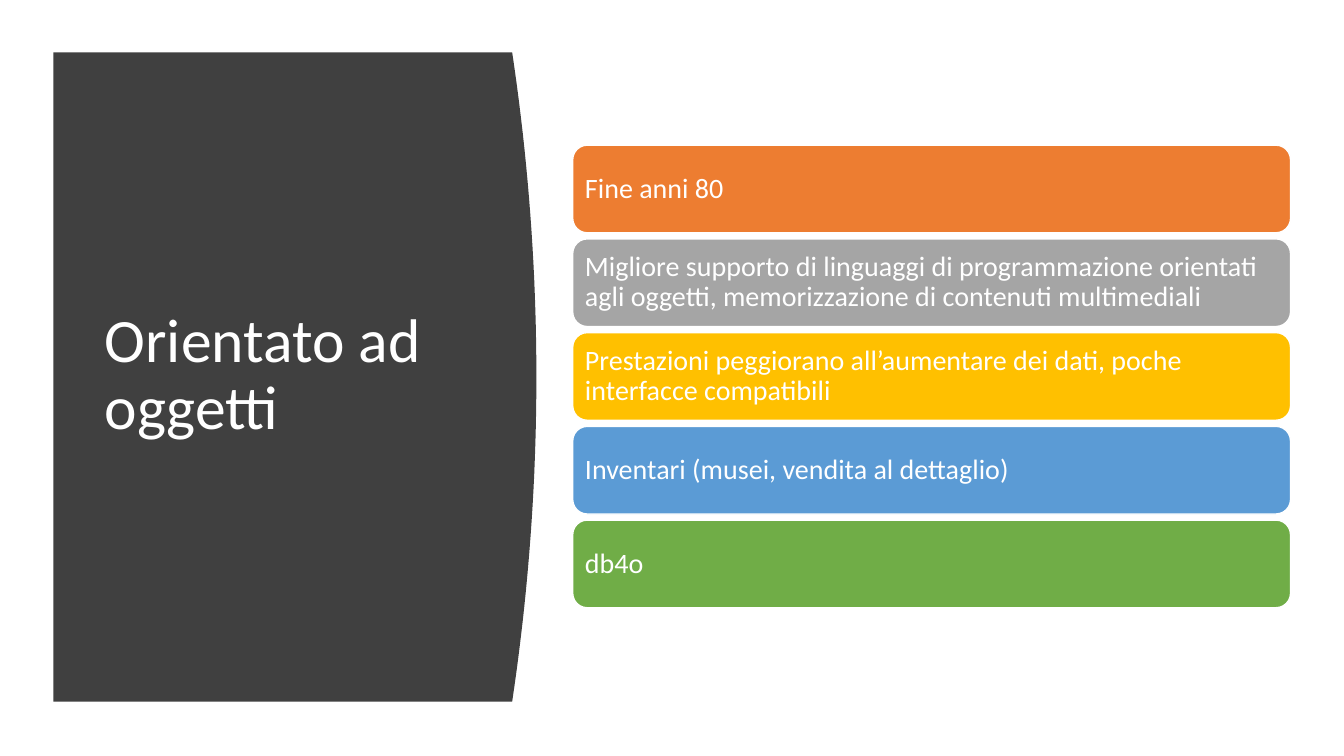
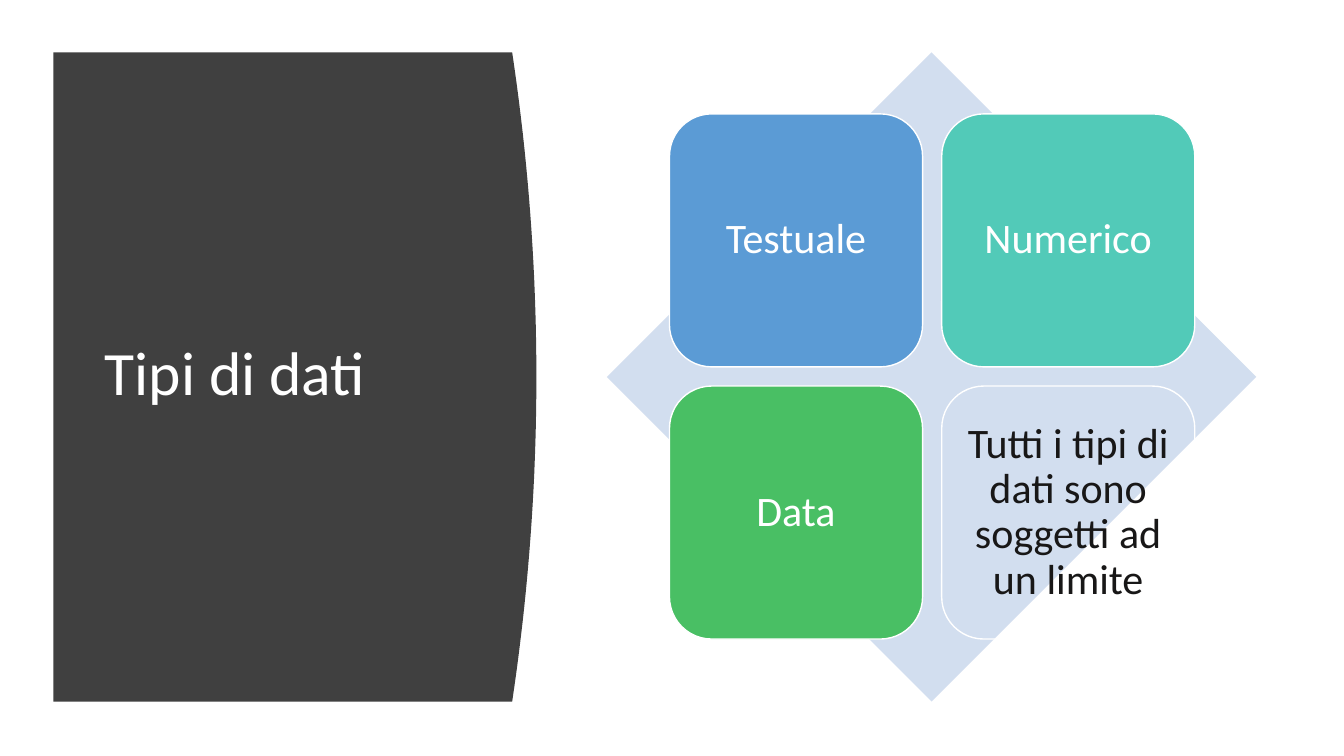
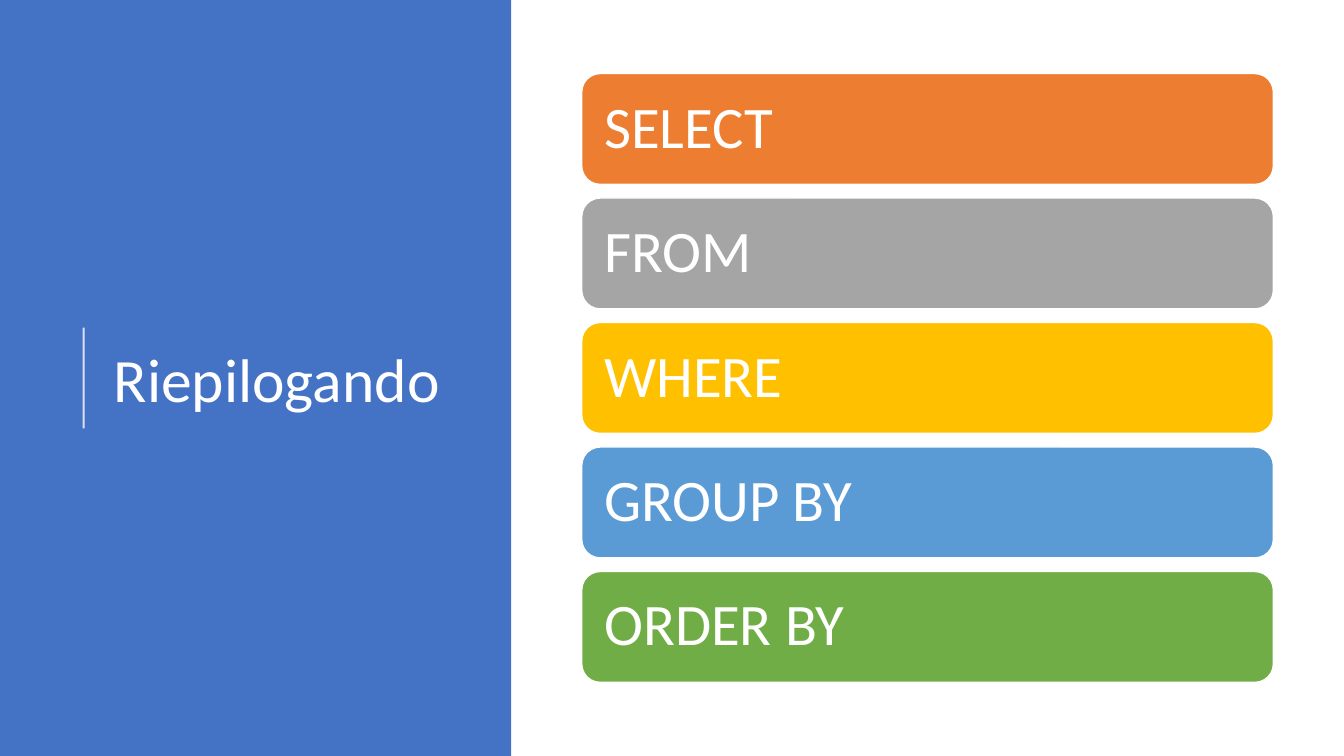
from typing import NamedTuple

from lxml.etree import SubElement
from pptx import Presentation
from pptx.dml.color import RGBColor
from pptx.enum.shapes import MSO_CONNECTOR as Link, MSO_SHAPE as Kind
from pptx.enum.text import MSO_ANCHOR as Anchor, PP_ALIGN as Align
from pptx.oxml.ns import qn
from pptx.shapes.autoshape import Shape
from pptx.slide import Slide
from pptx.text.text import TextFrame
from pptx.util import Inches, Pt

FONT = "Calibri"
WHITE = RGBColor(0xFF, 0xFF, 0xFF)
INK = RGBColor(0x18, 0x17, 0x17)
DARK = RGBColor(0x40, 0x40, 0x40)
NAVY = RGBColor(0x44, 0x72, 0xC4)
PALE = RGBColor(0xD2, 0xDE, 0xEF)
ORANGE = RGBColor(0xED, 0x7D, 0x31)
GRAY = RGBColor(0xA5, 0xA5, 0xA5)
GOLD = RGBColor(0xFF, 0xC0, 0x00)
BLUE = RGBColor(0x5B, 0x9B, 0xD5)
GREEN = RGBColor(0x70, 0xAD, 0x47)
TEAL = RGBColor(0x52, 0xCA, 0xB8)
LEAF = RGBColor(0x49, 0xBF, 0x64)
BARS = (ORANGE, GRAY, GOLD, BLUE, GREEN)


class Box(NamedTuple):
    left: float
    top: float
    width: float
    height: float


class Style(NamedTuple):
    size: int
    inset: float
    align: Align = Align.LEFT


class Tile(NamedTuple):
    text: str
    fill: RGBColor | None
    ink: RGBColor = WHITE


PANEL = Box(0.53, 0.52, 4.79, 6.44)
BULGE = 0.24
STEPS = 40
TITLE = Box(0.94, 1.11, 3.74, 5.24)


def write(frame: TextFrame, text: str, size: int, ink: RGBColor, align: Align) -> None:
    frame.word_wrap = True
    frame.vertical_anchor = Anchor.MIDDLE
    para = frame.paragraphs[0]
    para.alignment = align
    para.line_spacing = 0.9
    run = para.add_run()
    run.text = text
    font = run.font
    font.name, font.size, font.color.rgb = FONT, Pt(size), ink


def paint(shape: Shape, fill: RGBColor | None) -> None:
    """Flat fill, or none, without outline or shadow."""
    shape.shadow.inherit = False
    shape.line.fill.background()
    if fill is None:
        shape.fill.background()
    else:
        shape.fill.solid()
        shape.fill.fore_color.rgb = fill


def block(slide: Slide, kind: Kind, box: Box, fill: RGBColor | None) -> Shape:
    shape = slide.shapes.add_shape(kind, *map(Inches, box))
    paint(shape, fill)
    return shape


def title(slide: Slide, text: str, box: Box = TITLE) -> None:
    area = slide.shapes.add_textbox(*map(Inches, box))
    write(area.text_frame, text, 44, WHITE, Align.LEFT)


def panel(slide: Slide) -> None:
    """Dark panel whose right edge bows outward."""
    left, top, width, height = PANEL
    edge = []
    for step in range(STEPS + 1):
        part = step / STEPS
        bow = BULGE * (2 * part - 1) ** 2
        edge.append((Inches(left + width - bow), Inches(top + height * part)))
    form = slide.shapes.build_freeform(Inches(left), Inches(top))
    form.add_line_segments([*edge, (Inches(left), Inches(top + height))], close=True)
    paint(form.convert_to_shape(), DARK)


def card(slide: Slide, box: Box, tile: Tile, style: Style) -> None:
    shape = block(slide, Kind.ROUNDED_RECTANGLE, box, tile.fill)
    shape.line.color.rgb = WHITE
    shape.line.width = Pt(1)
    frame = shape.text_frame
    pad = Inches(style.inset)
    frame.margin_left = frame.margin_right = pad
    frame.margin_top = frame.margin_bottom = pad
    write(frame, tile.text, style.size, tile.ink, style.align)


def stack(slide: Slide, area: Box, height: float, texts: list[str], style: Style) -> None:
    """Bars of one height, spread evenly over the area."""
    pitch = (area.height - height) / (len(texts) - 1)
    for row, (text, fill) in enumerate(zip(texts, BARS)):
        box = Box(area.left, area.top + row * pitch, area.width, height)
        card(slide, box, Tile(text, fill), style)


def grid(slide: Slide, tiles: list[Tile]) -> None:
    """Two by two square cards."""
    side, pitch = 2.51, 2.7
    style = Style(30, 0.12, Align.CENTER)
    for spot, tile in enumerate(tiles):
        row, col = divmod(spot, 2)
        box = Box(6.64 + col * pitch, 1.13 + row * pitch, side, side)
        card(slide, box, tile, style)


def rule(slide: Slide) -> None:
    """Thin translucent line beside the title."""
    x = Inches(0.83)
    line = slide.shapes.add_connector(Link.STRAIGHT, x, Inches(4.25), x, Inches(3.25))
    line.line.color.rgb = WHITE
    line.line.width = Pt(1.5)
    props = line._element.spPr
    SubElement(next(props.iter(qn("a:srgbClr"))), qn("a:alpha"), val="80000")
    SubElement(props, qn("a:effectLst"))


def objects(slide: Slide) -> None:
    panel(slide)
    title(slide, "Orientato ad oggetti")
    texts = [
        "Fine anni 80",
        "Migliore supporto di linguaggi di programmazione orientati "
        "agli oggetti, memorizzazione di contenuti multimediali",
        "Prestazioni peggiorano all’aumentare dei dati, poche interfacce compatibili",
        "Inventari (musei, vendita al dettaglio)",
        "db4o",
    ]
    stack(slide, Box(5.68, 1.44, 7.12, 4.59), 0.87, texts, Style(20, 0.08))


def types(slide: Slide) -> None:
    panel(slide)
    title(slide, "Tipi di dati")
    block(slide, Kind.DIAMOND, Box(6.02, 0.52, 6.44, 6.44), PALE)
    grid(slide, [
        Tile("Testuale", BLUE),
        Tile("Numerico", TEAL),
        Tile("Data", LEAF),
        Tile("Tutti i tipi di dati sono soggetti ad un limite", None, INK),
    ])


def recap(slide: Slide) -> None:
    block(slide, Kind.RECTANGLE, Box(0, 0, 5.07, 7.5), NAVY)
    title(slide, "Riepilogando", Box(1.03, 0.78, 3.69, 6.02))
    rule(slide)
    texts = ["SELECT", "FROM", "WHERE", "GROUP BY", "ORDER BY"]
    stack(slide, Box(5.77, 0.73, 6.86, 6.04), 1.1, texts, Style(42, 0.17))


def main() -> None:
    deck = Presentation()
    deck.slide_width, deck.slide_height = Inches(13.33), Inches(7.5)
    blank = deck.slide_layouts[6]
    for draw in (objects, types, recap):
        draw(deck.slides.add_slide(blank))
    deck.save("out.pptx")


if __name__ == "__main__":
    main()
